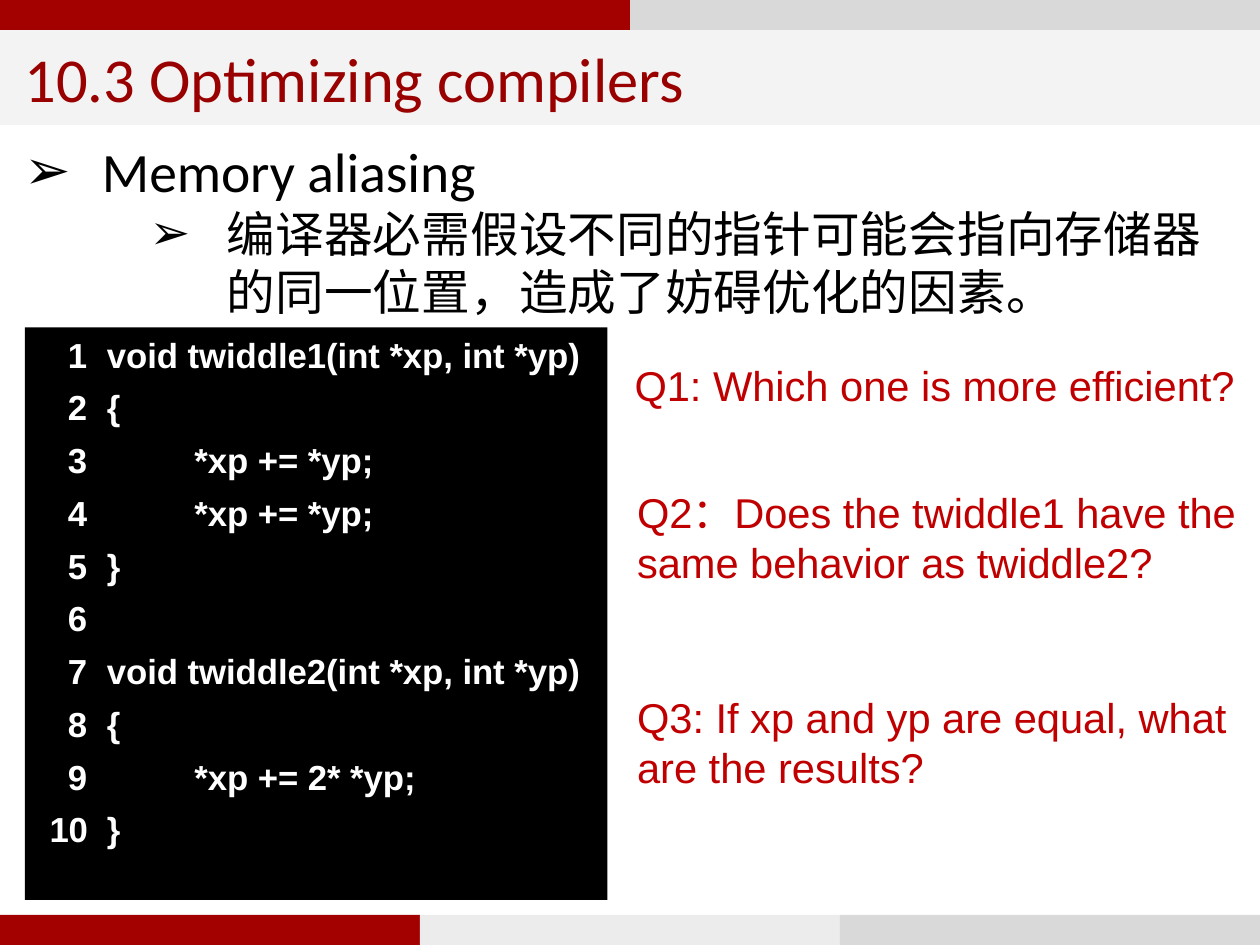
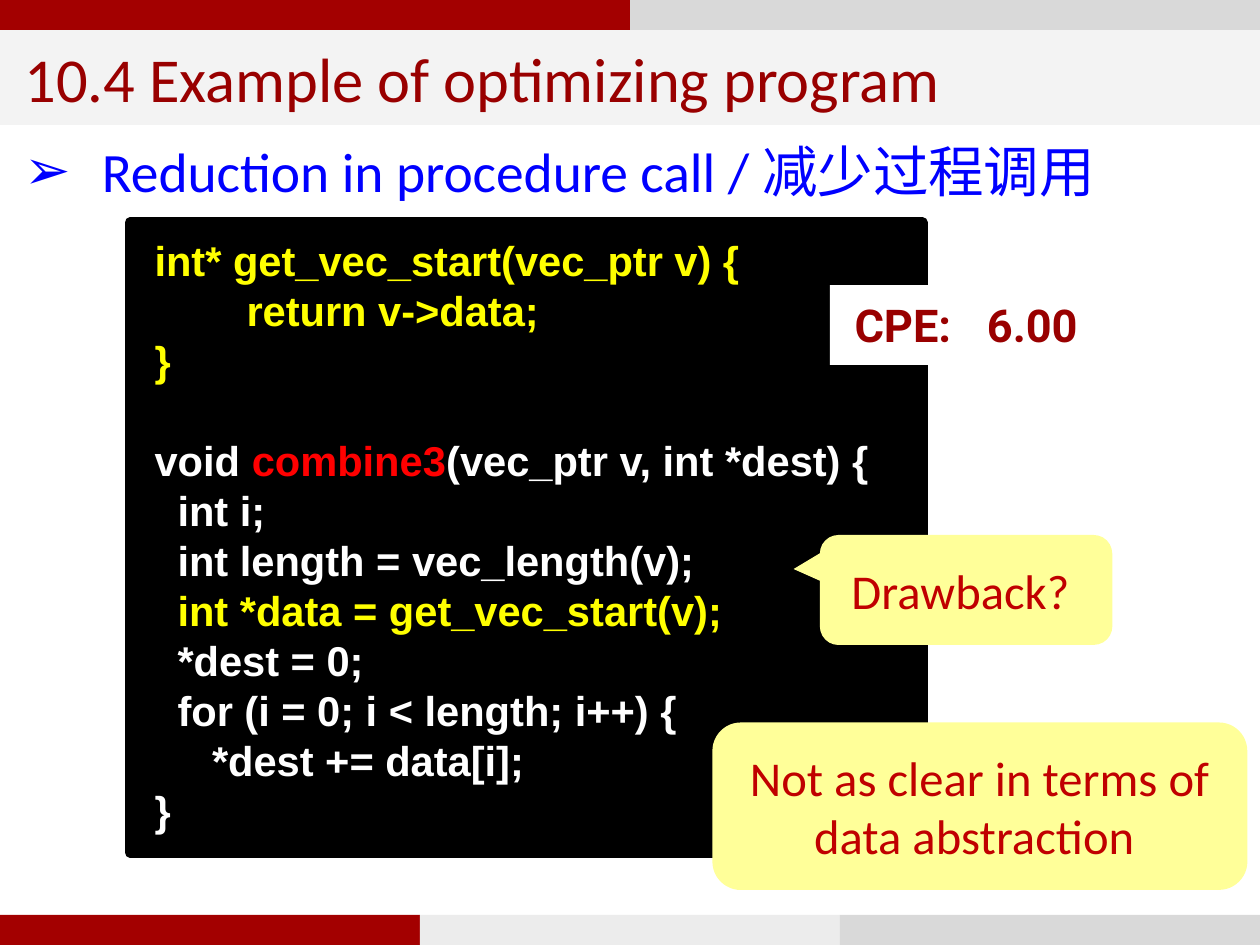
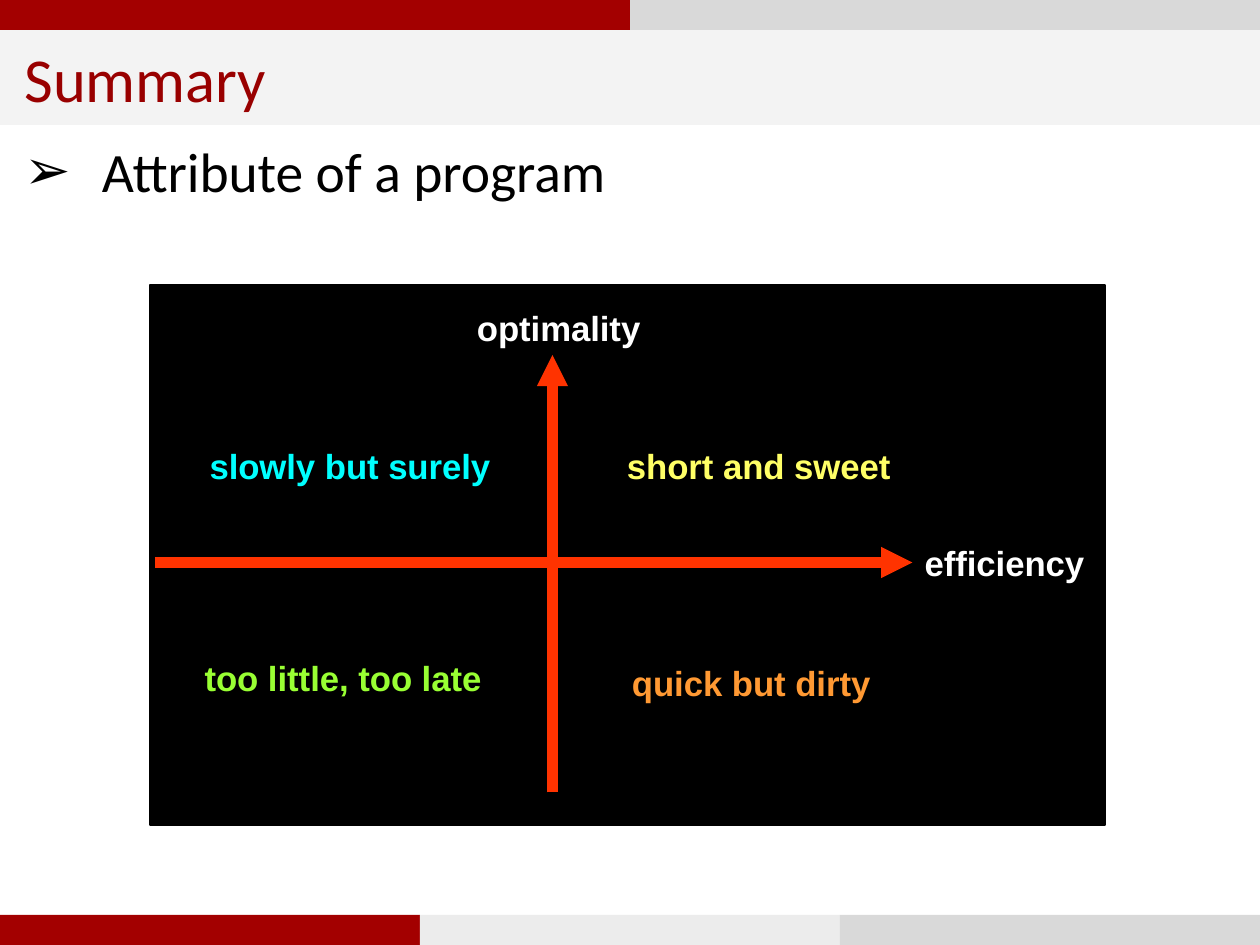
from lxml.etree import SubElement
from pptx import Presentation
from pptx.dml.color import RGBColor
from pptx.enum.shapes import MSO_CONNECTOR, MSO_SHAPE
from pptx.enum.text import MSO_ANCHOR, PP_ALIGN
from pptx.oxml.ns import qn
from pptx.util import Inches, Pt

WIDTH, HEIGHT = 5.04, 3.78
BAND = 0.12
TITLE_HEIGHT = 0.38
BODY_TOP = BAND + TITLE_HEIGHT
DARK_RED, RED, TITLE_RED = "A30000", "C00000", "990000"
GREY, LIGHT_GREY, TITLE_GREY = "D9D9D9", "ECECEC", "F3F3F3"
BLACK, WHITE, YELLOW, NOTE_YELLOW = "000000", "FFFFFF", "FFFF00", "FFFF99"
color = RGBColor.from_string


def add_box(shapes, at, fill=None, kind=MSO_SHAPE.RECTANGLE, anchor=MSO_ANCHOR.TOP, wrap=True):
    """Add a filled shape, or a text box when no fill is given."""
    place = [Inches(length) for length in at]
    if fill:
        shape = shapes.add_shape(kind, *place)
        shape.shadow.inherit = False
        shape.fill.solid()
        shape.fill.fore_color.rgb = color(fill)
        shape.line.fill.background()
    else:
        shape = shapes.add_textbox(*place)
    shape.text_frame.word_wrap = wrap
    shape.text_frame.vertical_anchor = anchor
    return shape


def add_text(shape, runs, size, font="Arial", bold=False, align=PP_ALIGN.LEFT,
             indent=0, bullet=None, tabs=()):
    """Write one paragraph of (text, colour) runs and return it."""
    frame = shape.text_frame
    paragraph = frame.paragraphs[0] if not frame.text else frame.add_paragraph()
    paragraph.alignment = align
    for text, hex_color in runs:
        run = paragraph.add_run()
        run.text = text
        run.font.size, run.font.name, run.font.bold = Pt(size), font, bold
        run.font.color.rgb = color(hex_color)
    properties = paragraph._p.get_or_add_pPr()
    properties.set("marL", str(Inches(indent)))
    if bullet:
        properties.set("indent", str(Inches(-0.31)))
        SubElement(properties, qn("a:buFont"), typeface="Arial")
        SubElement(properties, qn("a:buChar"), char=bullet)
    if tabs:
        stops = SubElement(properties, qn("a:tabLst"))
        for position, side in tabs:
            SubElement(stops, qn("a:tab"), pos=str(Inches(position)), algn=side)
    return paragraph


presentation = Presentation()
presentation.slide_width, presentation.slide_height = Inches(WIDTH), Inches(HEIGHT)

# Shared frame: colour bands, title and bulleted body
outlines = [
    ("10.3 Optimizing compilers", BLACK,
     ["Memory aliasing", "编译器必需假设不同的指针可能会指向存储器的同一位置，造成了妨碍优化的因素。"]),
    ("10.4 Example of optimizing program", "0000FF",
     ["Reduction in procedure call / 减少过程调用"]),
    ("Summary", BLACK, ["Attribute of a program"]),
]
band_rows = [(0, [DARK_RED, GREY]), (HEIGHT - BAND, [DARK_RED, LIGHT_GREY, GREY])]
for title, body_color, points in outlines:
    slide = presentation.slides.add_slide(presentation.slide_layouts[6])
    body = add_box(slide.shapes, (0, BODY_TOP, WIDTH, HEIGHT - BAND - BODY_TOP), WHITE)
    for level, point in enumerate(points):
        add_text(body, [(point, body_color)], 16 - 2 * level, "Calibri",
                 indent=0.31 + 0.5 * level, bullet="➢")
    for top, fills in band_rows:
        band_width = WIDTH / len(fills)
        for column, fill in enumerate(fills):
            add_box(slide.shapes, (column * band_width, top, band_width, BAND), fill)
    title_bar = add_box(slide.shapes, (0, BAND, WIDTH, TITLE_HEIGHT), TITLE_GREY,
                        anchor=MSO_ANCHOR.MIDDLE)
    add_text(title_bar, [(title, TITLE_RED)], 18, "Calibri")
aliasing, procedure_call, summary = [slide.shapes for slide in presentation.slides]

# Memory aliasing: numbered code and three questions
twiddle_code = add_box(aliasing, (0.1, 1.31, 2.33, 2.29), BLACK)
twiddle_lines = [
    "void twiddle1(int *xp, int *yp)", "{", "\t*xp += *yp;", "\t*xp += *yp;", "}", "",
    "void twiddle2(int *xp, int *yp)", "{", "\t*xp += 2* *yp;", "}",
]
for number, line in enumerate(twiddle_lines, 1):
    paragraph = add_text(twiddle_code, [(f"\t{number}\t{line}", WHITE)], 10, bold=True,
                         tabs=[(0.15, "r"), (0.23, "l"), (0.58, "l")])
    paragraph.line_spacing = 0.85
    if number > 1:
        paragraph.space_before = Pt(5)

questions = [
    (2.44, 1.39, 0.3, "Q1: Which one is more efficient?"),
    (2.45, 1.9, 0.5, "Q2：Does the twiddle1 have the same behavior as twiddle2?"),
    (2.45, 2.72, 0.5, "Q3: If xp and yp are equal, what are the results?"),
]
for left, top, height, question in questions:
    question_box = add_box(aliasing, (left, top, WIDTH - left, height))
    question_box.text_frame.margin_right = Inches(0.05)
    add_text(question_box, [(question, RED)], 12)

# Reduction in procedure call: code, two callouts and the measured CPE
combine_code = add_box(procedure_call, (0.52, 0.89, 3.17, 2.52), BLACK)
combine_code.line.color.rgb = color(BLACK)
combine_code.line.width = Pt(3)
SPACE_WIDTH = 0.046
combine_lines = [
    (0, [("int* get_vec_start(vec_ptr v) {", YELLOW)]),
    (8, [("return v->data;", YELLOW)]),
    (0, [("}", YELLOW)]),
    (0, [("void ", WHITE), ("combine3", "FF0000"), ("(vec_ptr v, int *dest) {", WHITE)]),
    (2, [("int i;", WHITE)]),
    (2, [("int length = vec_length(v);", WHITE)]),
    (2, [("int *data = get_vec_start(v);", YELLOW)]),
    (2, [("*dest = 0;", WHITE)]),
    (2, [("for (i = 0; i < length; i++) {", WHITE)]),
    (5, [("*dest += data[i];", WHITE)]),
    (0, [("}", WHITE)]),
]
for depth, runs in combine_lines:
    paragraph = add_text(combine_code, runs, 12, bold=True, indent=depth * SPACE_WIDTH)
    if runs[0][0] == "void ":
        paragraph.space_before = Pt(14.4)

callouts = [
    ((3.28, 2.14, 1.17, 0.44), -0.59, "Drawback? "),
    ((2.85, 2.89, 2.14, 0.67), -0.5, "Not as clear in terms of data abstraction "),
]
for at, pointer, remark in callouts:
    callout = add_box(procedure_call, at, NOTE_YELLOW, MSO_SHAPE.ROUNDED_RECTANGULAR_CALLOUT,
                      MSO_ANCHOR.MIDDLE)
    for index, value in enumerate((pointer, -0.19, 0.17)):
        callout.adjustments[index] = value
    add_text(callout, [(remark, RED)], 14, "Calibri", align=PP_ALIGN.CENTER)

cpe_box = add_box(procedure_call, (3.32, 1.14, 1.17, 0.32), WHITE)
add_text(cpe_box, [("CPE:\t6.00", TITLE_RED)], 13, "Roboto", bold=True, tabs=[(0.53, "l")])

# Summary: optimality against efficiency
quadrants = summary.add_group_shape().shapes
panel = add_box(quadrants, (0.6, 1.14, 3.82, 2.16), BLACK)
panel.line.color.rgb = color(BLACK)
panel.line.width = Pt(0.75)
for ends in [(0.62, 2.25, 3.65, 2.25), (2.21, 3.17, 2.21, 1.42)]:
    axis = quadrants.add_connector(MSO_CONNECTOR.STRAIGHT, *[Inches(end) for end in ends])
    axis.line.color.rgb = color("FF3300")
    axis.line.width = Pt(3)
    axis_properties = axis._element.spPr
    SubElement(axis_properties.find(qn("a:ln")), qn("a:tailEnd"), type="triangle")
    SubElement(axis_properties, qn("a:effectLst"))

labels = [
    (2.41, 1.73, 1.27, "short and sweet", "FFFF66"),
    (2.43, 2.6, 1.17, "quick but dirty", "FF9933"),
    (0.74, 1.73, 1.33, "slowly but surely", "00FFFF"),
    (0.72, 2.58, 1.32, "too little, too late", "99FF33"),
    (1.81, 1.18, 0.86, "optimality", WHITE),
    (3.6, 2.12, 0.85, "efficiency", WHITE),
]
for left, top, width, label, label_color in labels:
    label_box = add_box(quadrants, (left, top, width, 0.27), wrap=False)
    add_text(label_box, [(label, label_color)], 10, bold=True)

presentation.save("out.pptx")
